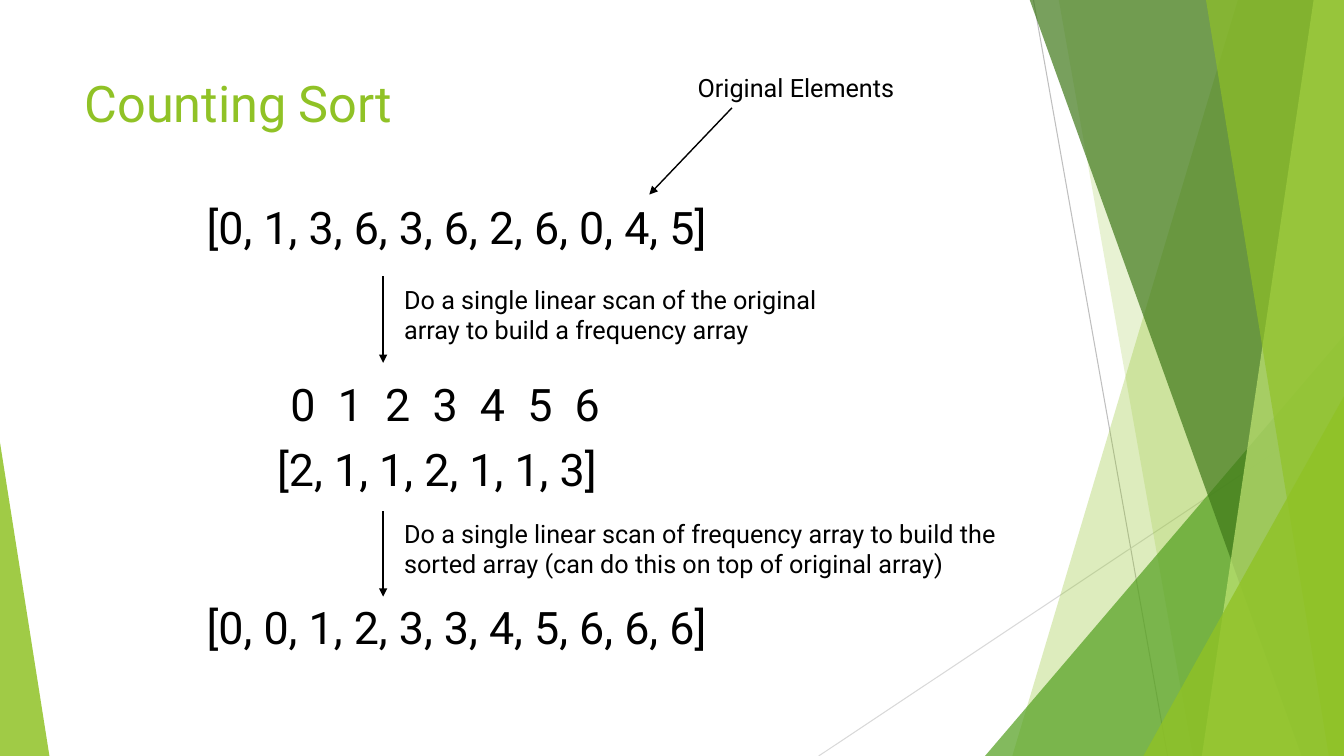
from dataclasses import dataclass

from lxml import etree
from pptx import Presentation
from pptx.dml.color import RGBColor
from pptx.enum.shapes import MSO_CONNECTOR, MSO_SHAPE
from pptx.enum.text import MSO_ANCHOR
from pptx.oxml.ns import qn
from pptx.util import Inches, Pt

STRAIGHT = MSO_CONNECTOR.STRAIGHT
TRIANGLE = MSO_SHAPE.ISOSCELES_TRIANGLE
TOP = MSO_ANCHOR.TOP

BLACK = RGBColor(0x00, 0x00, 0x00)
GREEN = RGBColor(0x90, 0xC2, 0x26)
MID_GREEN = RGBColor(0x54, 0xA0, 0x21)
DARK_GREEN = RGBColor(0x3F, 0x78, 0x19)
PALE_GREEN = RGBColor(0xC0, 0xE4, 0x74)
GREY = RGBColor(0xBF, 0xBF, 0xBF)
LIGHT_GREY = RGBColor(0xD9, 0xD9, 0xD9)

FONT = "Roboto"
WIDTH, HEIGHT = 13.33, 7.5
BAND_TOP = -0.01
INDEX_PITCH = 0.47


@dataclass
class Line:
    start: tuple[float, float]
    end: tuple[float, float]
    color: RGBColor = BLACK
    weight: float = 1
    arrow: bool = True


@dataclass
class Band:
    """A facet between a slanted left edge and the right side of the slide."""
    top_x: float
    bottom_x: float
    color: RGBColor
    opacity: int


@dataclass
class Wedge:
    left: float
    top: float
    width: float
    apex: float
    color: RGBColor
    opacity: int


@dataclass
class Label:
    text: str
    left: float
    top: float
    width: float
    height: float
    size: int
    color: RGBColor = BLACK
    wrap: bool = True
    inset: float = 0.1
    tab_pitch: float = 0


def fill_shape(shape, color: RGBColor, opacity: int) -> None:
    shape.shadow.inherit = False
    shape.line.fill.background()
    shape.fill.solid()
    shape.fill.fore_color.rgb = color
    tint = shape.fill._xPr.find(qn("a:solidFill"))[0]
    etree.SubElement(tint, qn("a:alpha"), val=str(opacity * 1000))


def draw_line(page, line: Line) -> None:
    connector = page.shapes.add_connector(
        STRAIGHT, *(Inches(value) for value in line.start + line.end))
    connector.line.color.rgb = line.color
    connector.line.width = Pt(line.weight)
    if line.arrow:
        outline = connector.line._get_or_add_ln()
        etree.SubElement(outline, qn("a:tailEnd"), type="triangle")
    etree.SubElement(connector._element.spPr, qn("a:effectLst"))


def draw_band(page, band: Band) -> None:
    builder = page.shapes.build_freeform(Inches(band.top_x), Inches(BAND_TOP))
    corners = [(WIDTH, BAND_TOP), (WIDTH, HEIGHT), (band.bottom_x, HEIGHT)]
    builder.add_line_segments([(Inches(x), Inches(y)) for x, y in corners])
    fill_shape(builder.convert_to_shape(), band.color, band.opacity)


def draw_wedge(page, wedge: Wedge) -> None:
    shape = page.shapes.add_shape(
        TRIANGLE, Inches(wedge.left), Inches(wedge.top),
        Inches(wedge.width), Inches(HEIGHT - wedge.top))
    shape.adjustments[0] = wedge.apex
    fill_shape(shape, wedge.color, wedge.opacity)


def draw_label(page, label: Label) -> None:
    box = page.shapes.add_textbox(
        Inches(label.left), Inches(label.top),
        Inches(label.width), Inches(label.height))
    frame = box.text_frame
    frame.word_wrap = label.wrap
    frame.vertical_anchor = TOP
    frame.margin_left = Inches(label.inset)
    para = frame.paragraphs[0]
    if label.tab_pitch:
        stops = etree.SubElement(para._p.get_or_add_pPr(), qn("a:tabLst"))
        for step in range(1, label.text.count("\t") + 1):
            etree.SubElement(stops, qn("a:tab"), algn="l",
                             pos=str(Inches(step * label.tab_pitch)))
    span = para.add_run()
    span.text = label.text
    span.font.name = FONT
    span.font.size = Pt(label.size)
    span.font.color.rgb = label.color


# Green facets, from back to front
BACKDROP = [
    Line((10.25, 0), (11.58, HEIGHT), GREY, 0.75, False),
    Line((WIDTH, 4.03), (8.12, HEIGHT), LIGHT_GREY, 0.75, False),
    Band(12.28, 10.04, GREEN, 30),
    Band(10.5, 11.83, GREEN, 20),
    Wedge(9.77, 3.33, 3.56, 1, MID_GREEN, 72),
    Band(10.21, 12.91, DARK_GREEN, 70),
    Band(13.03, 11.92, PALE_GREEN, 70),
    Band(11.96, 13.18, GREEN, 65),
    Wedge(11.34, 3.93, 1.99, 1, GREEN, 80),
    Wedge(0, 4.39, 0.49, 0, GREEN, 85),
]

# Title, arrays, their explanations and the arrows between them
CONTENT = [
    Label("Counting Sort", 0.74, 0.67, 9.4, 1.44, 36, GREEN),
    Label("[0, 1, 3, 6, 3, 6, 2, 6, 0, 4, 5]", 1.95, 1.93, 7.75, 0.64, 32),
    Label("[2, 1, 1, 2, 1, 1, 3]", 2.65, 4.33, 7.75, 0.64, 32),
    Label("\t".join(str(index) for index in range(7)), 2.56, 3.69, 7.75, 0.64,
          32, inset=0.32, tab_pitch=INDEX_PITCH),
    Label("Original Elements", 6.82, 0.67, 2.2, 0.4, 18, wrap=False),
    Line((7.26, 1.07), (6.44, 1.93)),
    Line((3.8, 2.74), (3.8, 3.6)),
    Label("Do a single linear scan of the original array to build a "
          "frequency array", 3.91, 2.77, 4.88, 0.71, 18),
    Label("[0, 0, 1, 2, 3, 3, 4, 5, 6, 6, 6]", 1.95, 5.9, 7.75, 0.64, 32),
    Line((3.8, 5.07), (3.8, 5.92)),
    Label("Do a single linear scan of frequency array to build the sorted "
          "array (can do this on top of original array)",
          3.91, 5.09, 6.68, 0.71, 18),
]

PAINTERS = {Line: draw_line, Band: draw_band, Wedge: draw_wedge,
            Label: draw_label}


def main() -> None:
    deck = Presentation()
    deck.slide_width = Inches(WIDTH)
    deck.slide_height = Inches(HEIGHT)
    page = deck.slides.add_slide(deck.slide_layouts[6])
    for item in BACKDROP + CONTENT:
        PAINTERS[type(item)](page, item)
    deck.save("out.pptx")


if __name__ == "__main__":
    main()
